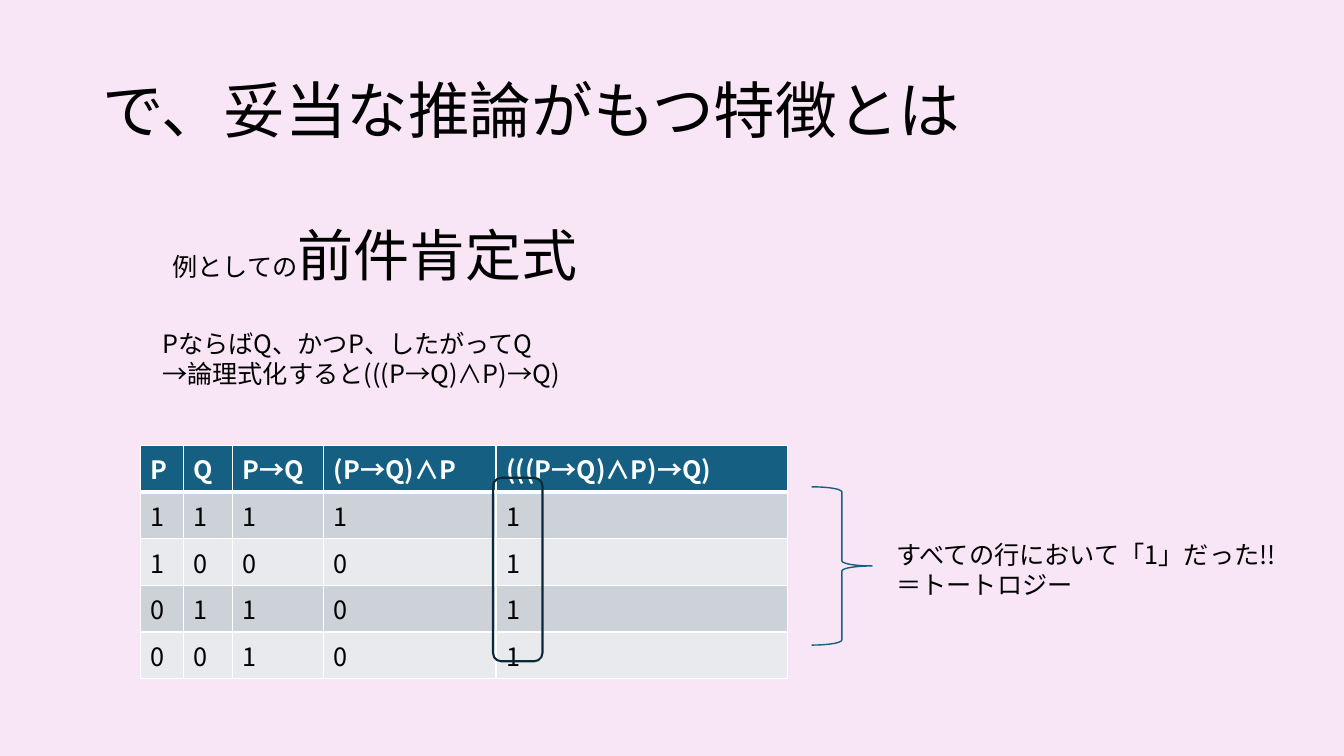
from lxml.etree import SubElement
from pptx import Presentation
from pptx.dml.color import RGBColor
from pptx.enum.shapes import MSO_SHAPE as Shape
from pptx.enum.text import MSO_ANCHOR as Anchor, MSO_AUTO_SIZE as AutoSize
from pptx.oxml.ns import qn
from pptx.util import Inches, Pt

FONT = "Noto Sans CJK JP"
BACKGROUND = RGBColor(0xF8, 0xE6, 0xF6)
BLACK = RGBColor(0, 0, 0)
WHITE = RGBColor(0xFF, 0xFF, 0xFF)
TEAL = RGBColor(0x15, 0x60, 0x82)
DARK_TEAL = RGBColor(0x09, 0x2A, 0x39)
ODD_ROW = RGBColor(0xCC, 0xD2, 0xD8)
EVEN_ROW = RGBColor(0xE8, 0xEA, 0xED)

COLUMN_WIDTHS = [0.43, 0.49, 0.9, 1.71, 2.89]
ROW_HEIGHT = 0.4
TRUTH_TABLE = [
    ["P", "Q", "P→Q", "(P→Q)∧P", "(((P→Q)∧P)→Q)"],
    ["1", "1", "1", "1", "1"],
    ["1", "0", "0", "0", "1"],
    ["0", "1", "1", "0", "1"],
    ["0", "0", "1", "0", "1"],
]


class SlideBuilder:
    def __init__(self, page, font):
        self.page = page
        self.font = font

    def background(self, color):
        fill = self.page.background.fill
        fill.solid()
        fill.fore_color.rgb = color

    def span(self, para, text, size=18, color=BLACK, bold=False):
        span = para.add_run()
        span.text = text
        style = {"name": self.font, "size": Pt(size), "bold": bold}
        for name, value in style.items():
            setattr(span.font, name, value)
        span.font.color.rgb = color
        SubElement(span.font._element, qn("a:ea"), typeface=self.font)

    def text(self, place, lines, line_spacing=None, **frame_format):
        """Each line is a list of (text, size) pairs."""
        box = self.page.shapes.add_textbox(*map(Inches, place))
        frame = box.text_frame
        settings = {"word_wrap": True, "auto_size": AutoSize.SHAPE_TO_FIT_TEXT}
        for name, value in (settings | frame_format).items():
            setattr(frame, name, value)
        for index, line in enumerate(lines):
            para = frame.add_paragraph() if index else frame.paragraphs[0]
            para.line_spacing = line_spacing
            for text, size in line:
                self.span(para, text, size)

    def outline(self, kind, place, color, width):
        shape = self.page.shapes.add_shape(kind, *map(Inches, place))
        shape.shadow.inherit = False
        shape.fill.background()
        shape.line.color.rgb = color
        shape.line.width = Pt(width)

    def cell_borders(self, cell, widths):
        properties = cell._tc.get_or_add_tcPr()
        for side, width in widths.items():
            line = SubElement(properties, qn(f"a:ln{side}"), w=str(Pt(width)))
            fill = SubElement(line, qn("a:solidFill"))
            SubElement(fill, qn("a:srgbClr"), val=str(WHITE))

    def table(self, left, top, widths, row_height, rows):
        size = sum(widths), row_height * len(rows)
        frame = self.page.shapes.add_table(
            len(rows), len(widths), *map(Inches, (left, top, *size)))
        table = frame.table
        for column, width in zip(table.columns, widths):
            column.width = Inches(width)
        for r, values in enumerate(rows):
            header = r == 0
            row_fill = TEAL if header else ODD_ROW if r % 2 else EVEN_ROW
            borders = {"L": 1, "R": 1, "T": 3 if r == 1 else 1, "B": 3 if header else 1}
            for c, value in enumerate(values):
                cell = table.cell(r, c)
                self.cell_borders(cell, borders)
                cell.fill.solid()
                cell.fill.fore_color.rgb = row_fill
                self.span(cell.text_frame.paragraphs[0], value,
                          color=WHITE if header else BLACK, bold=header)


def main():
    deck = Presentation()
    deck.slide_width, deck.slide_height = Inches(13.33), Inches(7.5)
    slide = SlideBuilder(deck.slides.add_slide(deck.slide_layouts[6]), FONT)

    slide.background(BACKGROUND)
    slide.text((0.92, 0.4, 11.5, 1.45), [[("で、妥当な推論がもつ特徴とは", 44)]],
               line_spacing=0.9, auto_size=AutoSize.NONE, vertical_anchor=Anchor.MIDDLE)
    slide.table(1.39, 4.42, COLUMN_WIDTHS, ROW_HEIGHT, TRUTH_TABLE)
    slide.text((1.51, 3.21, 7.75, 0.71), [
        [("PならばQ、かつP、したがってQ", 18)],
        [("→論理式化すると(((P→Q)∧P)→Q)", 18)],
    ])
    slide.outline(Shape.RIGHT_BRACE, (8.05, 4.83, 0.6, 1.57), TEAL, 1)
    slide.text((8.79, 5.3, 4.25, 0.71), [
        [("すべての行において「1」だった!!", 18)],
        [("＝トートロジー", 18)],
    ])
    slide.outline(Shape.ROUNDED_RECTANGLE, (4.89, 4.74, 0.49, 1.82), DARK_TEAL, 1.5)
    slide.text((1.61, 2.14, 7.75, 0.77), [[("例としての", 18), ("前件肯定式", 40)]])

    deck.save("out.pptx")


if __name__ == "__main__":
    main()
